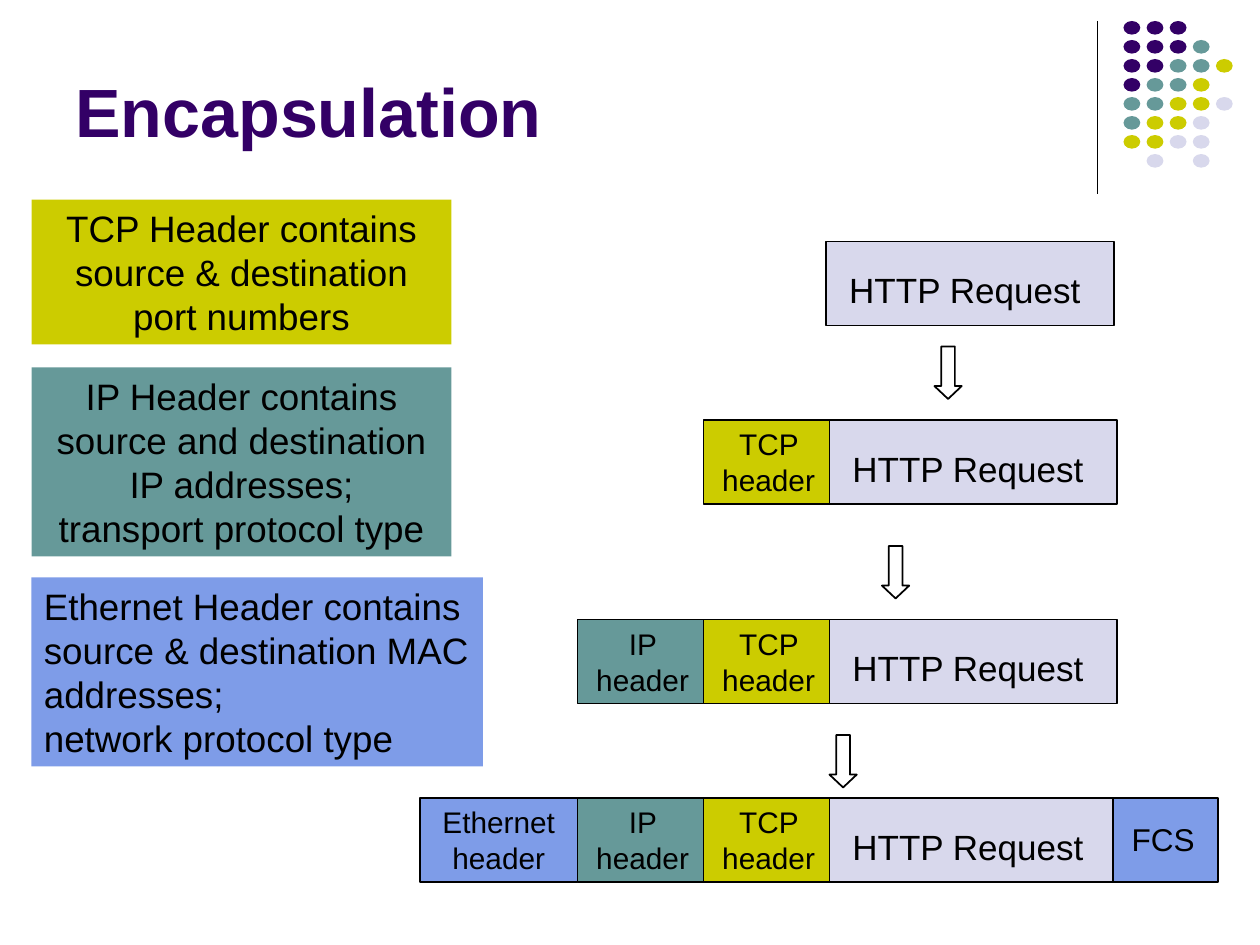
import dataclasses

import pptx
import pptx.dml.color
import pptx.enum.shapes
import pptx.enum.text
import pptx.util
import lxml.etree

SHAPES = pptx.enum.shapes.MSO_SHAPE
ALIGN = pptx.enum.text.PP_ALIGN
ANCHOR = pptx.enum.text.MSO_ANCHOR
UNITS_PER_INCH = 12


@dataclasses.dataclass(frozen=True)
class Theme:
    font: str = "Arial"
    ink: str = "000000"
    paper: str = "FFFFFF"
    purple: str = "330066"
    teal: str = "669999"
    olive: str = "CCCC00"
    lilac: str = "D8D8EC"
    blue: str = "7E9CE8"
    title_size: int = 39
    note_size: int = 21
    payload_size: int = 20
    trailer_size: int = 18
    header_size: int = 17
    border: float = 1
    rule: float = 0.75


@dataclasses.dataclass(frozen=True)
class Box:
    left: float
    top: float
    width: float
    height: float

    def inner(self, column, row, width, height):
        return Box(self.left + column, self.top + row, width, height)

    def place(self):
        return [units(n) for n in (self.left, self.top, self.width, self.height)]


THEME = Theme()
HEADERS = {
    "Ethernet header": (THEME.blue, 15, 15),
    "IP header": (THEME.teal, 12, 12.4),
    "TCP header": (THEME.olive, 12, 12.4),
}


def units(count):
    return pptx.util.Inches(count / UNITS_PER_INCH)


def color(code):
    return pptx.dml.color.RGBColor.from_string(code)


def add_figure(page, box, kind, fill, outlined=False):
    figure = page.shapes.add_shape(kind, *box.place())
    figure.shadow.inherit = False
    figure.fill.solid()
    figure.fill.fore_color.rgb = color(fill)
    if outlined:
        figure.line.color.rgb = color(THEME.ink)
        figure.line.width = pptx.util.Pt(THEME.border)
    else:
        figure.line.fill.background()
    return figure


def write(figure, text, size, align=ALIGN.LEFT, anchor=ANCHOR.TOP, ink=THEME.ink, bold=False):
    frame = figure.text_frame
    frame.word_wrap = True
    frame.vertical_anchor = anchor
    para = frame.paragraphs[0]
    para.text = text
    para.alignment = align
    para.font.name = THEME.font
    para.font.size = pptx.util.Pt(size)
    para.font.color.rgb = color(ink)
    para.font.bold = bold


def add_label(page, box, text, size, **style):
    write(page.shapes.add_textbox(*box.place()), text, size, **style)


def add_title(page, box):
    add_label(page, box, "Encapsulation", THEME.title_size,
              anchor=ANCHOR.BOTTOM, ink=THEME.purple, bold=True)


def add_ornament(page, box):
    rule = page.shapes.add_connector(
        pptx.enum.shapes.MSO_CONNECTOR.STRAIGHT, units(box.left), units(box.top),
        units(box.left), units(box.top + box.height))
    rule.line.color.rgb = color(THEME.ink)
    rule.line.width = pptx.util.Pt(THEME.rule)
    lxml.etree.SubElement(rule._element.spPr, pptx.oxml.ns.qn("a:effectLst"))

    pattern = ["PPP", "PPPT", "PPTTY", "PTTY", "TTYYL", "TYYL", "YYLL", " L L"]
    palette = {"P": THEME.purple, "T": THEME.teal, "Y": THEME.olive, "L": THEME.lilac}
    margin, column_step, row_step = 2.5, 2.2, 1.81
    for row, marks in enumerate(pattern):
        for column, mark in enumerate(marks):
            if mark in palette:
                dot = box.inner(margin + column * column_step, row * row_step, 1.6, 1.3)
                add_figure(page, dot, SHAPES.OVAL, palette[mark])


def add_note(page, box, text, fill, align=ALIGN.CENTER):
    note = add_figure(page, box, SHAPES.RECTANGLE, fill)
    write(note, text, THEME.note_size, align, ANCHOR.MIDDLE)


def add_packet(page, box, headers, trailer=False):
    column = 0
    for name in headers:
        fill, step, width = HEADERS[name]
        header = add_figure(page, box.inner(column, 0, width, box.height),
                            SHAPES.RECTANGLE, fill, True)
        write(header, name, THEME.header_size, ALIGN.CENTER)
        column += step
    add_figure(page, box.inner(column, 0, 27.4, box.height),
               SHAPES.RECTANGLE, THEME.lilac, True)
    add_label(page, box.inner(column + 1, 2, 24.5, 5.3), "HTTP Request", THEME.payload_size)
    if trailer:
        column += 27
        add_figure(page, box.inner(column, 0, 10, box.height),
                   SHAPES.RECTANGLE, THEME.blue, True)
        add_label(page, box.inner(column + 0.6, 1.5, 8.4, 4.8), "FCS", THEME.trailer_size)


def add_arrow(page, box):
    add_figure(page, box, SHAPES.DOWN_ARROW, THEME.paper, True).adjustments[1] = 0.47


def main():
    deck = pptx.Presentation()
    deck.slide_width, deck.slide_height = units(120), units(90)
    page = deck.slides.add_slide(deck.slide_layouts[6])

    add_ornament(page, Box(104.5, 2, 13, 16.5))
    add_title(page, Box(6, 1.5, 99, 13.5))
    add_note(page, Box(3, 19, 40, 13.8),
             "TCP Header contains source & destination port numbers", THEME.olive)
    add_note(page, Box(3, 35, 40, 18),
             "IP Header contains source and destination IP addresses;\vtransport protocol type",
             THEME.teal)
    add_note(page, Box(3, 55, 43, 18),
             "Ethernet Header contains source & destination MAC addresses;\vnetwork protocol type",
             THEME.blue, ALIGN.LEFT)

    names = list(HEADERS)
    add_packet(page, Box(78.7, 23, 27.4, 8), [])
    add_packet(page, Box(67, 40, 39.4, 8), names[2:])
    add_packet(page, Box(55, 59, 51.4, 8), names[1:])
    add_packet(page, Box(40, 76, 76, 8), names, trailer=True)
    for step, top in enumerate((33, 52, 70)):
        add_arrow(page, Box(89 - 5 * step, top, 2.6, 5))

    deck.save("out.pptx")


if __name__ == "__main__":
    main()
